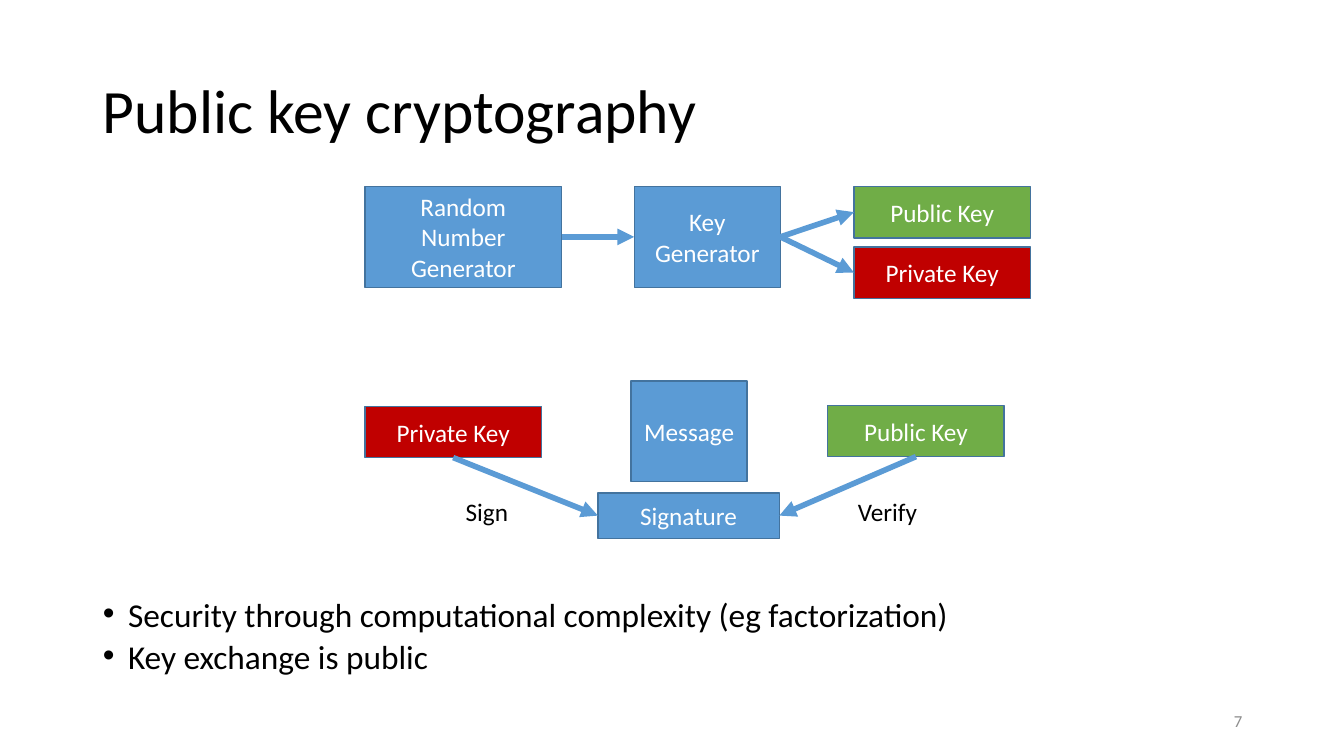
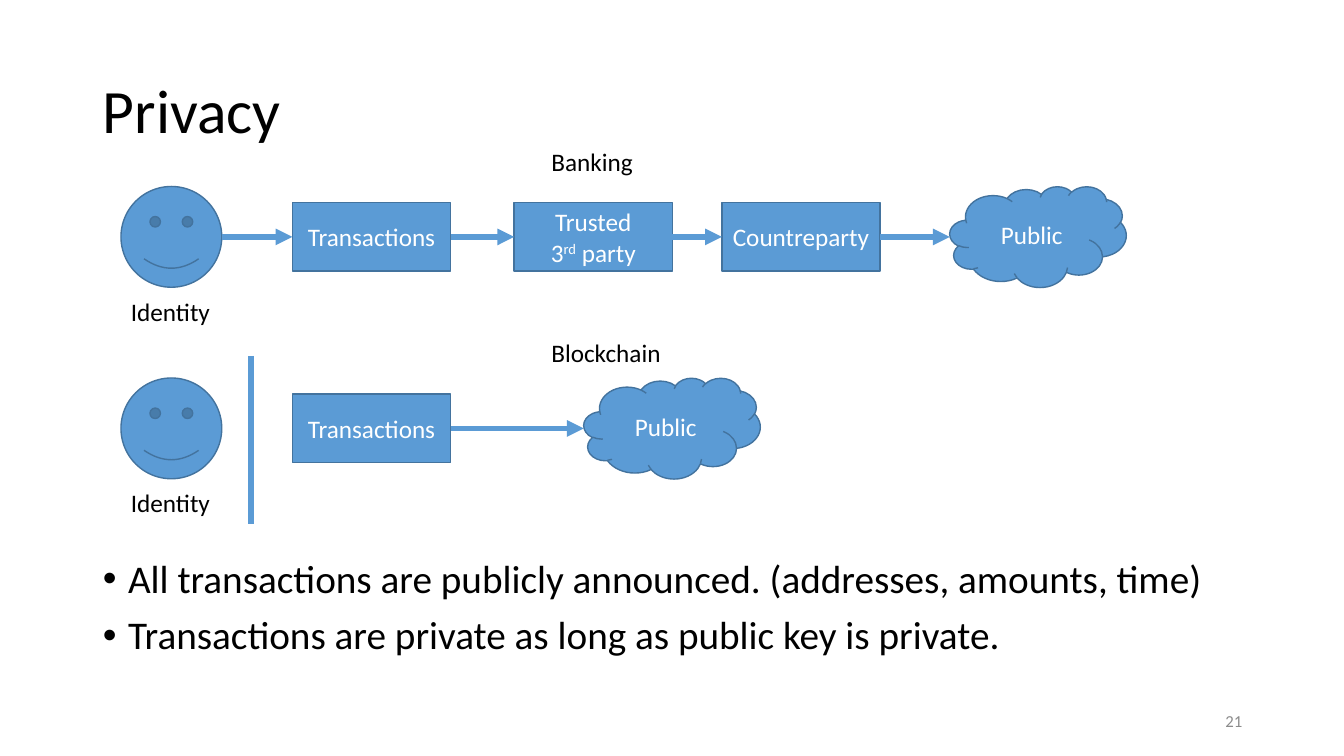
from dataclasses import dataclass

from lxml import etree
from pptx import Presentation
from pptx.dml.color import RGBColor
from pptx.enum import shapes, text
from pptx.oxml import ns
from pptx.util import Inches, Pt

SHAPE = shapes.MSO_SHAPE
ALIGN = text.PP_ALIGN
TOP, LEFT, BOTTOM, RIGHT = range(4)  # connection sites of a rectangle


@dataclass(frozen=True)
class Theme:
    font: str = "Calibri"
    blue: str = "5B9BD5"
    green: str = "70AD47"
    red: str = "C00000"
    outline: str = "43739E"
    ink: str = "000000"
    white: str = "FFFFFF"
    grey: str = "8C8C8C"
    title_size: float = 44
    label_size: float = 18
    number_size: float = 12
    outline_width: float = 1
    arrow_width: float = 4


THEME = Theme()


def rgb(value):
    return RGBColor.from_string(value)


def format_text(frame, size, color, align=ALIGN.LEFT):
    for para in frame.paragraphs:
        para.alignment = align
        for span in para.runs:
            span.font.name = THEME.font
            span.font.size = Pt(size)
            span.font.color.rgb = rgb(color)


def place(shape, left, top, width, height):
    shape.left, shape.top = Inches(left), Inches(top)
    shape.width, shape.height = Inches(width), Inches(height)


def add_node(page, words, left, top, width, height, fill=THEME.blue, kind=SHAPE.RECTANGLE):
    node = page.shapes.add_shape(
        kind, Inches(left), Inches(top), Inches(width), Inches(height))
    node.shadow.inherit = False
    node.fill.solid()
    node.fill.fore_color.rgb = rgb(fill)
    node.line.color.rgb = rgb(THEME.outline)
    node.line.width = Pt(THEME.outline_width)
    if words:
        frame = node.text_frame
        frame.text = words
        frame.word_wrap = False
        frame.vertical_anchor = text.MSO_ANCHOR.MIDDLE
        format_text(frame, THEME.label_size, THEME.white, ALIGN.CENTER)
    return node


def add_key(page, kind, left, top):
    fill = {"Public": THEME.green, "Private": THEME.red}[kind]
    return add_node(page, f"{kind} Key", left, top, 1.75, 0.51, fill)


def add_cloud(page, left, top):
    return add_node(page, "Public", left, top, 1.75, 1, kind=SHAPE.CLOUD)


def add_label(page, words, left, top, width):
    label = page.shapes.add_textbox(
        Inches(left), Inches(top), Inches(width), Inches(0.4))
    frame = label.text_frame
    frame.text = words
    frame.word_wrap = False
    frame.auto_size = text.MSO_AUTO_SIZE.SHAPE_TO_FIT_TEXT
    format_text(frame, THEME.label_size, THEME.ink)


def add_line(page, start, end):
    line = page.shapes.add_connector(shapes.MSO_CONNECTOR.STRAIGHT, *start, *end)
    line.line.color.rgb = rgb(THEME.blue)
    line.line.width = Pt(THEME.arrow_width)
    etree.SubElement(line._element.spPr, ns.qn("a:effectLst"))
    return line


def side_point(node, side):
    middle_x, middle_y = node.left + node.width // 2, node.top + node.height // 2
    return {
        TOP: (middle_x, node.top),
        LEFT: (node.left, middle_y),
        BOTTOM: (middle_x, node.top + node.height),
        RIGHT: (node.left + node.width, middle_y),
    }[side]


def add_arrow(page, source, target, source_side=RIGHT, target_side=LEFT):
    """Join two nodes; only rectangles share the site numbering used for gluing."""
    arrow = add_line(page, side_point(source, source_side), side_point(target, target_side))
    if source.auto_shape_type == SHAPE.RECTANGLE:
        arrow.begin_connect(source, source_side)
    if target.auto_shape_type == SHAPE.RECTANGLE:
        arrow.end_connect(target, target_side)
    etree.SubElement(arrow.line._get_or_add_ln(), ns.qn("a:tailEnd"), type="triangle")


def add_bullets(page, items, top, height, size, spacing):
    body = page.placeholders[1]
    place(body, 0.92, top, 11.5, height)
    frame = body.text_frame
    frame.text = "\n".join(items)
    frame.auto_size = text.MSO_AUTO_SIZE.NONE
    format_text(frame, size, THEME.ink)
    for para in frame.paragraphs:
        para.line_spacing = spacing
        para.space_before = Pt(10)
        settings = para._p.get_or_add_pPr()
        settings.set("marL", str(Inches(0.25)))
        settings.set("indent", str(Inches(-0.25)))
        etree.SubElement(settings, ns.qn("a:buFont"), typeface="Arial")
        etree.SubElement(settings, ns.qn("a:buChar"), char="•")


def add_page(deck, title, number):
    """Start a slide with the shared title style and page number."""
    page = deck.slides.add_slide(deck.slide_layouts[1])
    place(page.shapes.title, 0.92, 0.4, 11.5, 1.45)
    frame = page.shapes.title.text_frame
    frame.text = title
    frame.auto_size = text.MSO_AUTO_SIZE.NONE
    frame.vertical_anchor = text.MSO_ANCHOR.MIDDLE
    frame.paragraphs[0].line_spacing = 0.9
    format_text(frame, THEME.title_size, THEME.ink)

    footer = page.shapes.add_textbox(Inches(9.42), Inches(6.95), Inches(3), Inches(0.4))
    frame = footer.text_frame
    frame.text = str(number)
    frame.word_wrap = True
    frame.vertical_anchor = text.MSO_ANCHOR.MIDDLE
    format_text(frame, THEME.number_size, THEME.grey, ALIGN.RIGHT)
    return page


def draw_key_generation(page, left, top):
    random_source = add_node(page, "Random\nNumber\nGenerator", left, top, 1.95, 1)
    generator = add_node(page, "Key\nGenerator", left + 2.67, top, 1.45, 1)
    add_arrow(page, random_source, generator)
    for row, kind in enumerate(("Public", "Private")):
        key = add_key(page, kind, left + 4.85, top + row * 0.6)
        add_arrow(page, generator, key)


def draw_signing(page, left, top):
    private_key = add_key(page, "Private", left, top + 0.25)
    add_node(page, "Message", left + 2.64, top, 1.15, 1)
    public_key = add_key(page, "Public", left + 4.59, top + 0.24)
    signature = add_node(page, "Signature", left + 2.31, top + 1.11, 1.8, 0.45)
    add_arrow(page, private_key, signature, BOTTOM, LEFT)
    add_arrow(page, public_key, signature, BOTTOM, RIGHT)
    add_label(page, "Sign", left + 0.9, top + 1.09, 0.63)
    add_label(page, "Verify", left + 4.79, top + 1.09, 0.8)


def draw_identity(page, left, top):
    face = add_node(page, "", left, top, 1, 1, kind=SHAPE.SMILEY_FACE)
    add_label(page, "Identity", left, top + 1.04, 1)
    return face


def add_step(page, words, left, top):
    return add_node(page, words, left, top + 0.16, 1.57, 0.68)


def add_ordinal(para, number, suffix, rest):
    """Write a number with a raised suffix, followed by the rest of the line."""
    para.text = number
    raised = para.add_run()
    raised.text = suffix
    raised._r.get_or_add_rPr().set("baseline", "30000")
    para.add_run().text = rest


def draw_banking(page, left, top):
    add_label(page, "Banking", left + 4.17, top - 0.45, 1.02)
    face = draw_identity(page, left, top)
    transactions = add_step(page, "Transactions", left + 1.7, top)
    trusted = add_step(page, "Trusted\n", left + 3.9, top)
    add_ordinal(trusted.text_frame.paragraphs[1], "3", "rd", " party")
    format_text(trusted.text_frame, THEME.label_size, THEME.white, ALIGN.CENTER)
    counterparty = add_step(page, "Countreparty", left + 5.96, top)
    public = add_cloud(page, left + 8.22, top)
    chain = [face, transactions, trusted, counterparty, public]
    for source, target in zip(chain, chain[1:]):
        add_arrow(page, source, target)


def draw_blockchain(page, left, top):
    add_label(page, "Blockchain", left + 4.17, top - 0.45, 1.3)
    draw_identity(page, left, top)
    barrier_x = Inches(left + 1.29)
    add_line(page, (barrier_x, Inches(top - 0.22)), (barrier_x, Inches(top + 1.45)))
    transactions = add_step(page, "Transactions", left + 1.7, top)
    public = add_cloud(page, left + 4.59, top)
    add_arrow(page, transactions, public)


def build_cryptography(deck):
    page = add_page(deck, "Public key cryptography", 7)
    draw_key_generation(page, 3.62, 1.85)
    draw_signing(page, 3.62, 3.78)
    add_bullets(page, [
        "Security through computational complexity (eg factorization)",
        "Key exchange is public",
    ], top=5.95, height=0.81, size=23.8, spacing=0.7)


def build_privacy(deck):
    page = add_page(deck, "Privacy", 21)
    draw_banking(page, 1.2, 1.85)
    draw_blockchain(page, 1.2, 3.75)
    add_bullets(page, [
        "All transactions are publicly announced. (addresses, amounts, time)",
        "Transactions are private as long as public key is private.",
    ], top=5.5, height=1.26, size=28, spacing=0.9)


def main():
    deck = Presentation()
    deck.slide_width, deck.slide_height = Inches(13.33), Inches(7.5)
    build_cryptography(deck)
    build_privacy(deck)
    deck.save("out.pptx")


if __name__ == "__main__":
    main()
